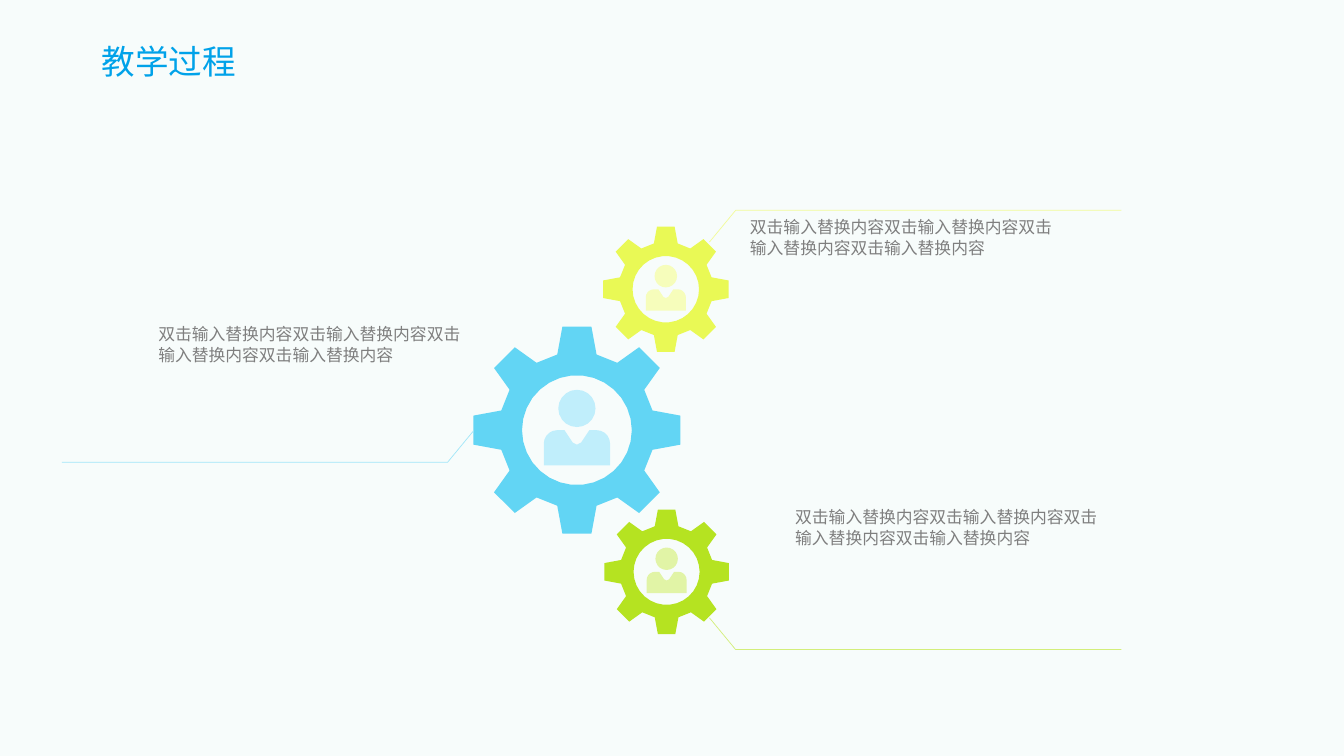
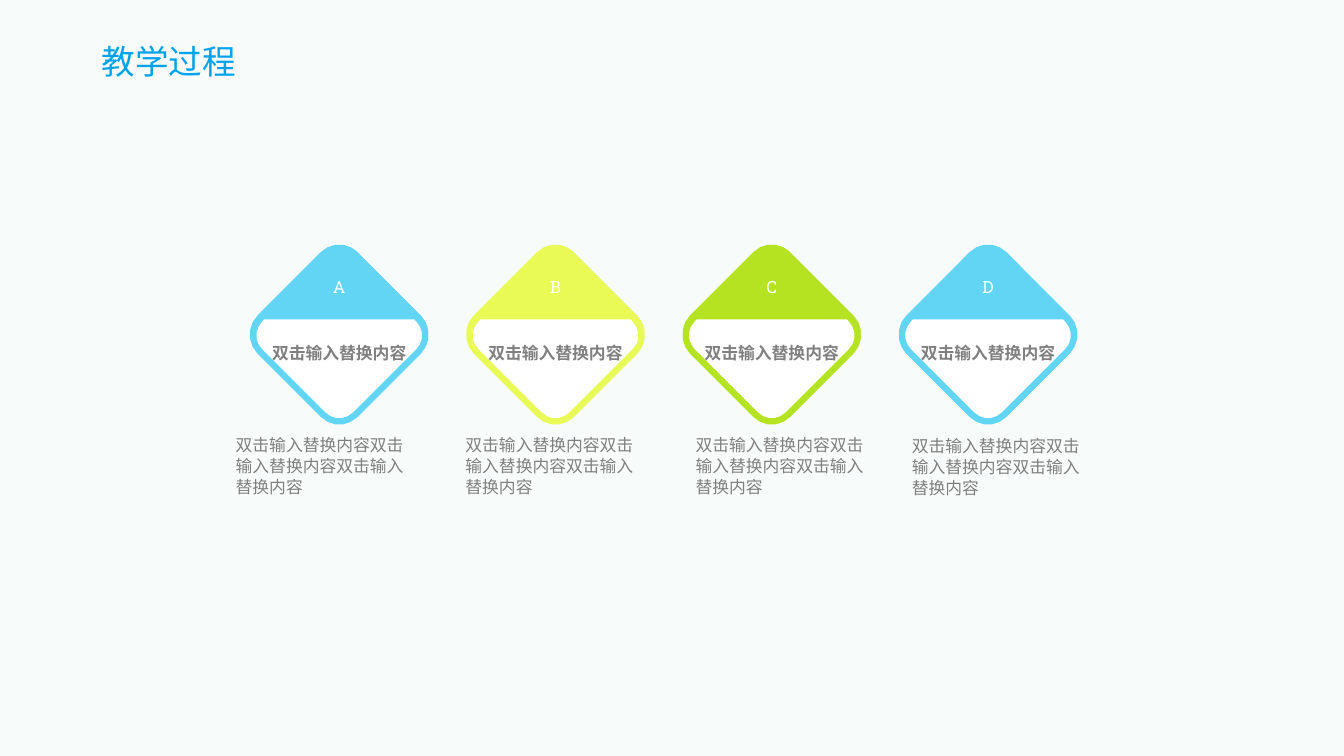
from math import cos, radians, sin

from lxml.etree import SubElement
from pptx import Presentation
from pptx.dml.color import RGBColor
from pptx.enum.shapes import MSO_SHAPE
from pptx.enum.text import MSO_ANCHOR, MSO_AUTO_SIZE, PP_ALIGN
from pptx.oxml.ns import qn
from pptx.util import Cm, Pt

HUES = {
    "tint": "E5F7F5", "title": "00A2E9", "note": "7F7F7F", "label": "808080",
    "white": "FFFFFF",
    "blue": "62D5F4", "yellow": "E9F955", "green": "B5E321",
    "pale blue": "C0EEFB", "pale yellow": "F6FDBB", "pale green": "E1F4A6",
    "blue line": "A1E6F8", "yellow line": "F2FB99", "green line": "D3EE7A",
}
SANS = "Noto Sans CJK SC"
PHRASE = "双击输入替换内容"
SPACED = {"line_spacing": Pt(15)}
MIDDLE = {"line_spacing": Pt(15), "alignment": PP_ALIGN.CENTER}
TOOTH = [(-0.14, -1), (0.14, -1), (0.19, -0.73), (0.39, -0.65),
         (0.6, -0.8), (0.8, -0.6), (0.65, -0.39), (0.73, -0.19)]


def hue(name):
    """Look up a colour by name."""
    return RGBColor.from_string(HUES[name])


def put(item, vals):
    """Set each attribute of item from a dict."""
    for key, val in vals.items():
        setattr(item, key, val)


def arc(x, y, r, start, end, step=18):
    """List points on an arc, in degrees, y pointing down."""
    turn = step if end > start else -step
    return [(x + r * cos(radians(a)), y + r * sin(radians(a)))
            for a in range(start, end + turn, turn)]


def write(frame, text, tone, frame_style, para_style, size=12, font=SANS, bold=False):
    """Fill a text frame with one styled paragraph."""
    put(frame, {"word_wrap": True, **frame_style})
    para = frame.paragraphs[0]
    put(para, para_style)
    run = para.add_run()
    run.text = text
    put(run.font, {"size": Pt(size), "name": font, "bold": bold})
    run.font.color.rgb = hue(tone)
    SubElement(run.font._element, qn("a:ea")).set("typeface", SANS)


def box(slide, x, y, w, h, text, tone, para_style, size=12):
    """Add a text box that grows with its text."""
    shape = slide.shapes.add_textbox(Cm(x), Cm(y), Cm(w), Cm(h))
    style = {"auto_size": MSO_AUTO_SIZE.SHAPE_TO_FIT_TEXT}
    write(shape.text_frame, text, tone, style, para_style, size)


def outline(slide, x, y, unit, rings, fill=None, line=None, width=0.5, close=True):
    """Draw rings of points around x, y, scaled by unit."""
    rings = [[(Cm(x + unit * a), Cm(y + unit * b)) for a, b in ring] for ring in rings]
    pen = slide.shapes.build_freeform(*rings[0][0])
    for i, ring in enumerate(rings):
        if i:
            pen.move_to(*ring[0])
        pen.add_line_segments(ring[1:], close=close)
    shape = pen.convert_to_shape()
    shape.shadow.inherit = False
    for part, tone in ((shape.fill, fill), (shape.line.fill, line)):
        if tone:
            part.solid()
            part.fore_color.rgb = hue(tone)
        else:
            part.background()
    if line:
        shape.line.width = Pt(width)
    return shape


def gear(slide, x, y, r, tone):
    """Draw a gear of radius r with a person in its hole."""
    rim, side = [], TOOTH
    for _ in range(4):
        rim += side
        side = [(-b, a) for a, b in side]
    outline(slide, x, y, r, [rim, arc(0, 0, 0.53, 360, 0, 12)], tone)
    head = arc(0, -0.21, 0.18, 0, 360)
    body = ([(-0.32, 0.34)] + arc(-0.19, 0.13, 0.13, 180, 270)
            + [(-0.12, 0), (-0.04, 0.12), (0, 0.14), (0.04, 0.12), (0.12, 0)]
            + arc(0.19, 0.13, 0.13, 270, 360) + [(0.32, 0.34)])
    outline(slide, x, y, r, [head, body], "pale " + tone)


def leader(slide, x, y, across, down, tone):
    """Draw a bent line from x, y; across and down are 1 or -1."""
    bend, end = (0.66 * across, 0.8 * down), (10.38 * across, 0.8 * down)
    outline(slide, x, y, 1, [[(0, 0), bend, end]], line=tone + " line", close=False)


def half(slide, x, y, flip, fill, line):
    """Draw one half of a rounded diamond, mirrored when flip is -1."""
    ring = ([(-1.93, 0.48)] + arc(-1.6, 0, 0.57, 135, 225)
            + arc(0, -1.6, 0.57, 225, 315)
            + arc(1.6, 0, 0.57, 315, 405) + [(1.93, 0.48)])
    ring = [(a, flip * b) for a, b in ring]
    return outline(slide, x, y, 1, [ring], fill, line, 4.5)


def card(slide, x, y, tone, letter, shift, drop):
    """Draw a lettered diamond centred at x, y with a note below it."""
    top = half(slide, x, y, 1, tone, tone)
    base = {"vertical_anchor": MSO_ANCHOR.MIDDLE, "margin_top": 0}
    style = {**base, "margin_bottom": Cm(0.71)}
    write(top.text_frame, letter, "white", style, MIDDLE, font="Roboto Slab")
    low = half(slide, x, y + 0.04, -1, "white", tone)
    style = {**base, "margin_left": 0, "margin_right": 0, "margin_bottom": Cm(0.83)}
    write(low.text_frame, PHRASE, "label", style, MIDDLE, font="Calibri", bold=True)
    box(slide, x + shift, y + drop, 5.03, 1.85, PHRASE * 3, "note", SPACED)


def start(deck):
    """Add a blank slide with the shared tint and title."""
    slide = deck.slides.add_slide(deck.slide_layouts[6])
    tint = slide.shapes.add_shape(MSO_SHAPE.RECTANGLE, 0, 0,
                                  deck.slide_width, deck.slide_height)
    tint.shadow.inherit = False
    tint.line.fill.background()
    tint.fill.solid()
    tint.fill.fore_color.rgb = hue("tint")
    color = tint._element.spPr.find(qn("a:solidFill"))[0]
    SubElement(color, qn("a:alpha")).set("val", "30000")
    box(slide, -1.34, 0.91, 11.18, 1.27, "教学过程", "title",
        {"alignment": PP_ALIGN.CENTER}, 24)
    return slide


def gears(deck):
    """Build the slide with three linked gears."""
    slide = start(deck)
    for x, y, r, tone in ((16.8, 14.41, 1.57, "green"), (16.78, 7.29, 1.58, "yellow"),
                          (14.54, 10.84, 2.61, "blue")):
        gear(slide, x, y, r, tone)
    for x, y, across, down, tone in ((17.88, 6.1, 1, -1, "yellow"),
                                     (11.94, 10.85, -1, 1, "blue"),
                                     (17.88, 15.57, 1, 1, "green")):
        leader(slide, x, y, across, down, tone)
    for x, y in ((18.65, 5.31), (19.79, 12.62), (3.74, 8.01)):
        box(slide, x, y, 8.46, 1.32, PHRASE * 4, "note", SPACED)


def cards(deck):
    """Build the slide with a row of four diamonds."""
    slide = start(deck)
    tones = ("blue", "yellow", "green", "blue")
    notes = ((-2.86, 2.39), (-2.52, 2.39), (-2.17, 2.39), (-2.17, 2.42))
    for i, (tone, letter, note) in enumerate(zip(tones, "ABCD", notes)):
        card(slide, 8.55 + 5.45 * i, 8.41, tone, letter, *note)


def main():
    """Build and save the deck."""
    deck = Presentation()
    put(deck, {"slide_width": Cm(33.87), "slide_height": Cm(19.05)})
    gears(deck)
    cards(deck)
    deck.save("out.pptx")


if __name__ == "__main__":
    main()
